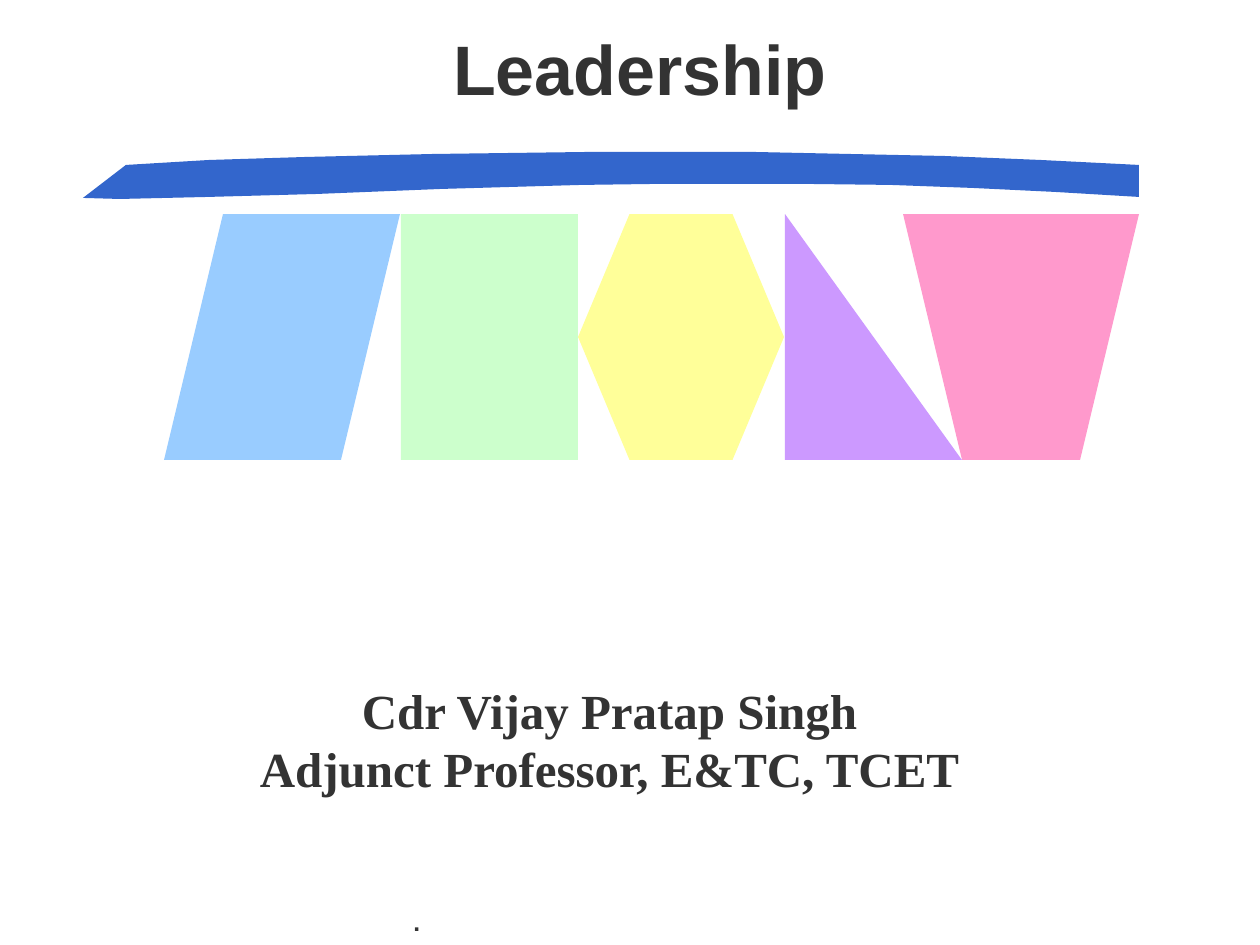
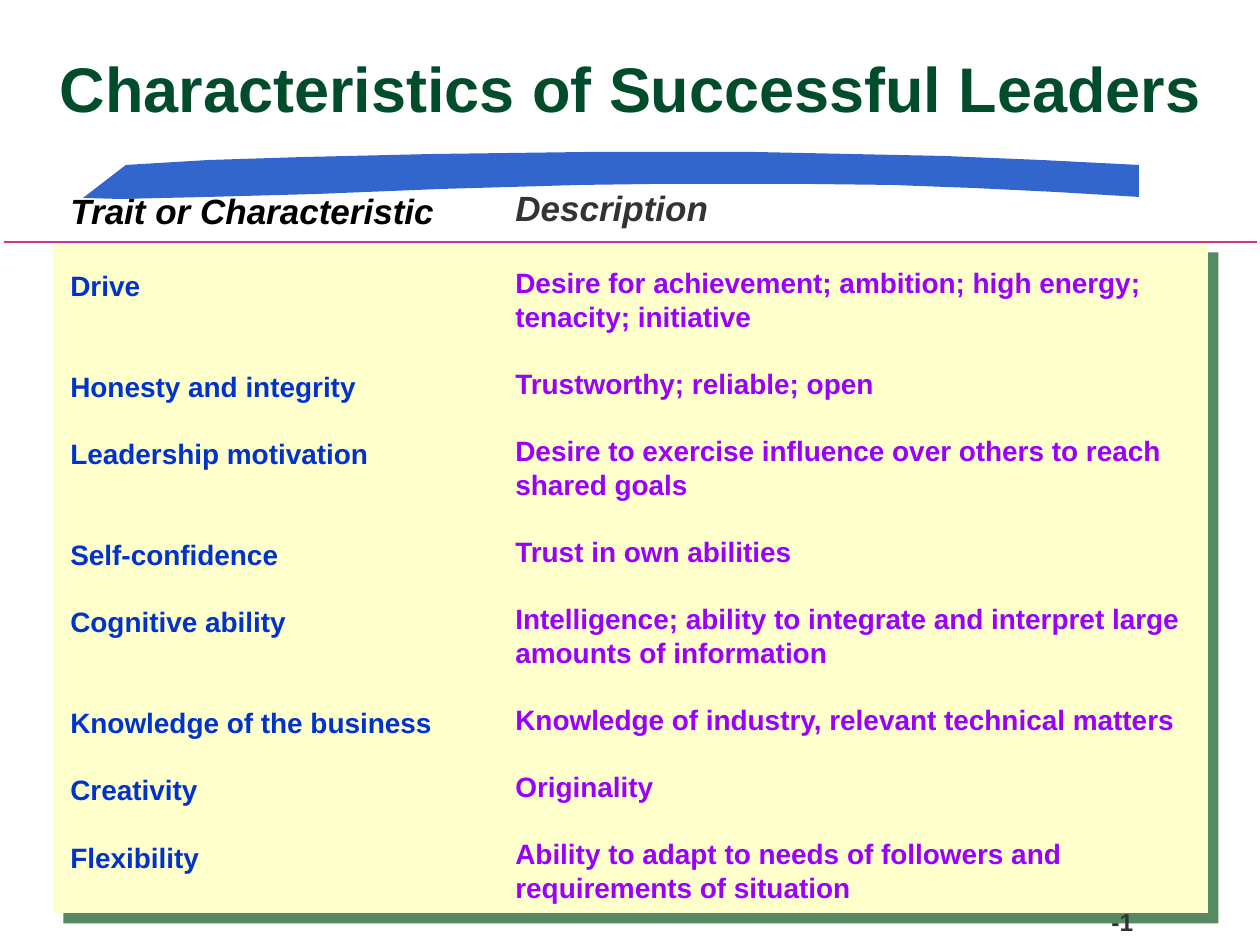
from dataclasses import dataclass

from lxml.etree import SubElement
from pptx import Presentation
from pptx.dml.color import RGBColor as Rgb
from pptx.enum.shapes import MSO_CONNECTOR as Connector, MSO_SHAPE as Shape
from pptx.enum.text import MSO_ANCHOR as Anchor, PP_ALIGN as Align
from pptx.oxml.ns import qn
from pptx.util import Pt

EMU_PER_PX = 914400 / 126


@dataclass(frozen=True)
class Theme:
    sans: str = "Arial"
    serif: str = "Times New Roman"
    ink: str = "333333"
    black: str = "010000"
    title_green: str = "004C2B"
    band_blue: str = "3366CC"
    panel_cream: str = "FFFFCC"
    panel_shadow: str = "578963"
    rule_magenta: str = "CC3399"
    trait_blue: str = "0033CC"
    description_violet: str = "9900FF"
    tile_blue: str = "99CCFF"
    tile_green: str = "CCFFCC"
    tile_yellow: str = "FFFF99"
    tile_purple: str = "CC99FF"
    tile_pink: str = "FF99CC"
    cover_size: int = 40
    title_size: int = 36
    author_size: int = 28
    heading_size: int = 20
    heading_gap: int = 18
    body_size: int = 16
    footer_size: int = 14
    leading: float = 1.2


THEME = Theme()

BAND_OUTLINE = [
    (126, 165), (209, 160), (306, 157), (433, 154), (585, 152), (756, 152),
    (944, 156), (1041, 160), (1139, 165), (1139, 197), (1055, 192), (973, 188),
    (891, 185), (809, 184), (654, 184), (581, 185), (441, 189), (317, 194),
    (208, 197), (120, 199), (83, 198),
]

TILES = [
    (Shape.RECTANGLE, 401, 177, THEME.tile_green, 0),
    (Shape.TRAPEZOID, 903, 236, THEME.tile_pink, 180),
    (Shape.PARALLELOGRAM, 164, 236, THEME.tile_blue, 0),
    (Shape.RIGHT_TRIANGLE, 785, 177, THEME.tile_purple, 0),
    (Shape.HEXAGON, 578, 206, THEME.tile_yellow, 0),
]

CHARACTERISTICS = [
    ("Drive", 2, ["Desire for achievement; ambition; high energy;",
                  "tenacity; initiative"]),
    ("Honesty and integrity", 1, ["Trustworthy; reliable; open"]),
    ("Leadership motivation", 2,
     ["Desire to exercise influence over others to reach shared goals"]),
    ("Self-confidence", 1, ["Trust in own abilities"]),
    ("Cognitive ability", 2,
     ["Intelligence; ability to integrate and interpret large amounts of information"]),
    ("Knowledge of the business", 1,
     ["Knowledge of industry, relevant technical matters"]),
    ("Creativity", 1, ["Originality"]),
    ("Flexibility", 2, ["Ability to adapt to needs of followers and",
                        "requirements of situation"]),
]


def px(*lengths):
    return [round(length * EMU_PER_PX) for length in lengths]


def write(frame, text, *, size, color=THEME.ink, font=THEME.sans, italic=False,
          align=Align.LEFT, before=0):
    paragraph = frame.paragraphs[0]
    if paragraph.runs:
        paragraph = frame.add_paragraph()
    paragraph.alignment = align
    paragraph.line_spacing = Pt(size * THEME.leading)
    paragraph.space_before = Pt(before)
    run = paragraph.add_run()
    run.text = text
    run.font.name = font
    run.font.size = Pt(size)
    run.font.bold = True
    run.font.italic = italic
    run.font.color.rgb = Rgb.from_string(color)


class Deck:
    def __init__(self, theme):
        self.theme = theme
        self.presentation = Presentation()
        self.presentation.slide_width, self.presentation.slide_height = px(1260, 945)
        self.slide = None

    def new_slide(self):
        self.slide = self.presentation.slides.add_slide(
            self.presentation.slide_layouts[6])
        self.outline(BAND_OUTLINE, self.theme.band_blue)

    def paint(self, shape, color):
        shape.shadow.inherit = False
        shape.fill.solid()
        shape.fill.fore_color.rgb = Rgb.from_string(color)
        shape.line.fill.background()

    def outline(self, points, color):
        builder = self.slide.shapes.build_freeform(*points[0], scale=EMU_PER_PX)
        builder.add_line_segments(points[1:], close=True)
        self.paint(builder.convert_to_shape(), color)

    def shape(self, kind, left, top, width, height, color, rotation=0):
        shape = self.slide.shapes.add_shape(kind, *px(left, top, width, height))
        self.paint(shape, color)
        shape.rotation = rotation
        return shape

    def panel(self, left, top, width, height):
        panel = self.shape(Shape.RECTANGLE, left, top, width, height,
                           self.theme.panel_cream)
        effects = panel._element.spPr.find(qn("a:effectLst"))
        shadow = SubElement(effects, qn("a:outerShdw"), blurRad="0",
                            dist=str(Pt(8.5)), dir=str(45 * 60000),
                            algn="ctr", rotWithShape="0")
        SubElement(shadow, qn("a:srgbClr"), val=self.theme.panel_shadow)

    def rule(self, left, right, y):
        rule = self.slide.shapes.add_connector(
            Connector.STRAIGHT, *px(left, y, right, y))
        rule.line.color.rgb = Rgb.from_string(self.theme.rule_magenta)
        rule.line.width = Pt(1)
        SubElement(rule._element.spPr, qn("a:effectLst"))

    def text_box(self, left, top, width, height, anchor=Anchor.TOP, wrap=True):
        frame = self.slide.shapes.add_textbox(*px(left, top, width, height)).text_frame
        frame.word_wrap = wrap
        frame.vertical_anchor = anchor
        return frame

    def footer(self, left, width, text):
        frame = self.text_box(left, 901, width, 42, wrap=False)
        write(frame, text, size=self.theme.footer_size)


def build_cover(deck):
    theme = deck.theme
    deck.new_slide()
    deck.footer(401, 32, ".")
    for kind, left, width, color, rotation in TILES:
        deck.shape(kind, left, 214, width, 246, color, rotation)
    write(deck.text_box(189, 19, 882, 100), " Leadership",
          size=theme.cover_size, align=Align.CENTER)
    author = deck.text_box(195, 674, 829, 131)
    for line in ("Cdr Vijay Pratap Singh", "Adjunct Professor, E&TC, TCET"):
        write(author, line, size=theme.author_size, font=theme.serif,
              align=Align.CENTER)


def build_characteristics(deck):
    theme = deck.theme
    deck.new_slide()
    deck.panel(53, 242, 1155, 671)
    write(deck.text_box(45, 21, 1171, 110, anchor=Anchor.BOTTOM),
          "Characteristics of Successful Leaders",
          size=theme.title_size, color=theme.title_green, align=Align.CENTER)

    traits = deck.text_box(58, 183, 389, 697, wrap=False)
    descriptions = deck.text_box(503, 180, 695, 730)
    write(traits, "Trait or Characteristic", size=theme.heading_size,
          color=theme.black, italic=True)
    write(descriptions, "Description", size=theme.heading_size, italic=True)

    body_line = theme.body_size * theme.leading
    trait_gap = description_gap = theme.heading_gap * theme.leading
    for trait, line_count, description in CHARACTERISTICS:
        write(traits, trait, size=theme.body_size, color=theme.trait_blue,
              before=trait_gap)
        for index, part in enumerate(description):
            write(descriptions, part, size=theme.body_size,
                  color=theme.description_violet,
                  before=0 if index else description_gap)
        trait_gap = line_count * body_line
        description_gap = body_line

    deck.rule(4, 1257, 242)
    deck.footer(1099, 47, "-1")


def main():
    deck = Deck(THEME)
    build_cover(deck)
    build_characteristics(deck)
    deck.presentation.save("out.pptx")


if __name__ == "__main__":
    main()
